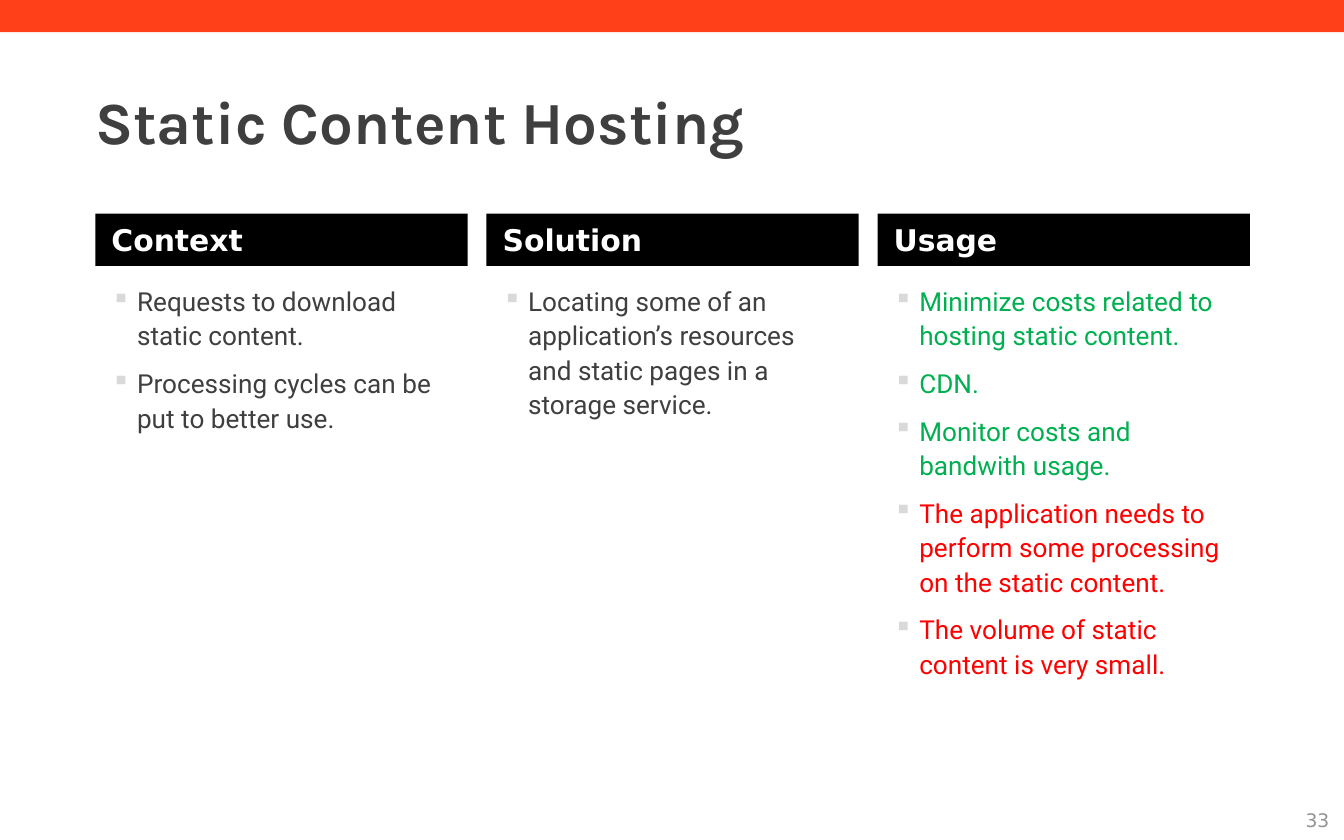
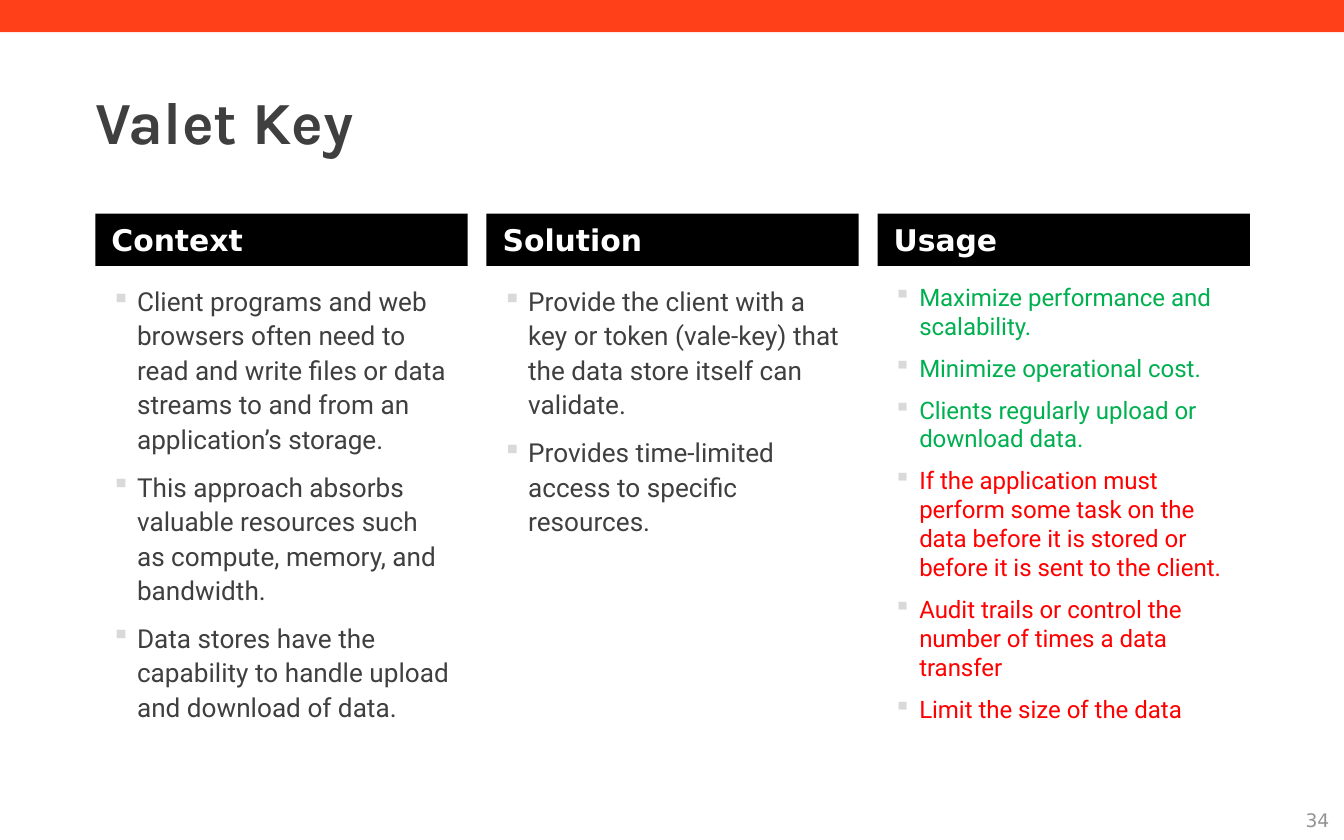
"""Build two cloud pattern slides with Context, Solution and Usage columns."""
from lxml import etree
from pptx import Presentation
from pptx import util as u
from pptx.dml.color import RGBColor
from pptx.enum import shapes, text
from pptx.oxml import ns

INK, GOOD, BAD = "3F3F3F", "00B050", "FF0000"
ACCENT, BLACK, WHITE, MUTED, BULLET = "FF4019", "000000", "FFFFFF", "939393", "D9D9D9"
TITLE_FONT, BODY_FONT, LABEL_FONT = "Karla", "Roboto", "DejaVu Sans"

WIDTH, HEIGHT = 10, 6.25
LEFT, COL_W, GAP = 0.71, 2.77, 0.14
HEAD_TOP, HEAD_H, BODY_H = 1.59, 0.39, 3.63
FIRST_NUMBER = 33
HEADINGS = ("Context", "Solution", "Usage")
NORMAL, COMPACT = (14, 1.1), (12.9, 1.0)

SLIDES = [
    {
        "title": "Static Content Hosting",
        "columns": [
            (NORMAL, [(INK, [
                "Requests to download static content.",
                "Processing cycles can be put to better use.",
            ])]),
            (NORMAL, [(INK, [
                "Locating some of an application’s resources and static pages in a storage service.",
            ])]),
            (NORMAL, [
                (GOOD, [
                    "Minimize costs related to hosting static content.",
                    "CDN.",
                    "Monitor costs and bandwith usage.",
                ]),
                (BAD, [
                    "The application needs to perform some processing on the static content.",
                    "The volume of static content is very small.",
                ]),
            ]),
        ],
    },
    {
        "title": "Valet Key",
        "columns": [
            (NORMAL, [(INK, [
                "Client programs and web browsers often need to read and write files "
                "or data streams to and from an application’s storage.",
                "This approach absorbs valuable resources such as compute, memory, and bandwidth.",
                "Data stores have the capability to handle upload and download of data.",
            ])]),
            (NORMAL, [(INK, [
                "Provide the client with a key or token (vale-key) that the data store "
                "itself can validate.",
                "Provides time-limited access to specific resources.",
            ])]),
            (COMPACT, [
                (GOOD, [
                    "Maximize performance and scalability.",
                    "Minimize operational cost.",
                    "Clients regularly upload or download data.",
                ]),
                (BAD, [
                    "If the application must perform some task on the data before it is "
                    "stored or before it is sent to the client.",
                    "Audit trails or control the number of times a data transfer",
                    "Limit the size of the data",
                ]),
            ]),
        ],
    },
]


def rgb(value):
    return RGBColor.from_string(value)


def set_frame(sp, inset_x=0, inset_y=0, anchor=text.MSO_ANCHOR.TOP):
    tf = sp.text_frame
    tf.word_wrap = True
    tf.vertical_anchor = anchor
    tf.margin_left = tf.margin_right = u.Inches(inset_x)
    tf.margin_top = tf.margin_bottom = u.Inches(inset_y)
    return tf


def add_rect(s, box, fill):
    sp = s.shapes.add_shape(shapes.MSO_SHAPE.RECTANGLE, *map(u.Inches, box))
    sp.shadow.inherit = False
    sp.fill.solid()
    sp.fill.fore_color.rgb = rgb(fill)
    sp.line.fill.background()
    return sp


def add_run(p, words, size, font, color, bold=False, align=text.PP_ALIGN.LEFT):
    p.alignment = align
    r = p.add_run()
    r.text = words
    r.font.size, r.font.name, r.font.bold = u.Pt(size), font, bold
    r.font.color.rgb = rgb(color)


def add_label(s, box, words, size, font, color, bold=False,
              align=text.PP_ALIGN.LEFT, anchor=text.MSO_ANCHOR.TOP):
    sp = s.shapes.add_textbox(*map(u.Inches, box))
    tf = set_frame(sp, anchor=anchor)
    add_run(tf.paragraphs[0], words, size, font, color, bold, align)


def set_bullet(p):
    pPr = p._p.get_or_add_pPr()
    pPr.set("marL", str(u.Inches(0.19)))
    pPr.set("indent", str(-u.Inches(0.19)))
    color = etree.SubElement(pPr, ns.qn("a:buClr"))
    etree.SubElement(color, ns.qn("a:srgbClr"), val=BULLET)
    etree.SubElement(pPr, ns.qn("a:buChar"), char="▪")


def add_column(s, index, heading, style, groups):
    left = LEFT + index * (COL_W + GAP)
    head = add_rect(s, (left, HEAD_TOP, COL_W, HEAD_H), BLACK)
    tf = set_frame(head, 0.12, 0.06)
    add_run(tf.paragraphs[0], heading, 16, LABEL_FONT, WHITE, bold=True)

    body = add_rect(s, (left, HEAD_TOP + HEAD_H, COL_W, BODY_H), WHITE)
    tf = set_frame(body, 0.12, 0.12)
    size, spacing = style
    items = [(color, words) for color, lines in groups for words in lines]
    for i, (color, words) in enumerate(items):
        p = tf.add_paragraph() if i else tf.paragraphs[0]
        set_bullet(p)
        p.line_spacing = spacing
        p.space_before, p.space_after = u.Pt(3 if i else 0), u.Pt(4)
        add_run(p, words, size, BODY_FONT, color)


def add_slide(prs, number, title, columns):
    s = prs.slides.add_slide(prs.slide_layouts[6])
    add_rect(s, (0, 0, WIDTH, 0.24), ACCENT)
    add_label(s, (7.17, 5.96, 2.72, 0.29), str(number), 10, LABEL_FONT, MUTED,
              align=text.PP_ALIGN.RIGHT, anchor=text.MSO_ANCHOR.MIDDLE)
    add_label(s, (LEFT, 0.63, 7.48, 0.54), title, 32, TITLE_FONT, INK, bold=True)
    for index, (heading, column) in enumerate(zip(HEADINGS, columns)):
        add_column(s, index, heading, *column)


def main():
    prs = Presentation()
    prs.slide_width, prs.slide_height = u.Inches(WIDTH), u.Inches(HEIGHT)
    for number, content in enumerate(SLIDES, FIRST_NUMBER):
        add_slide(prs, number, **content)
    prs.save("out.pptx")


if __name__ == "__main__":
    main()
